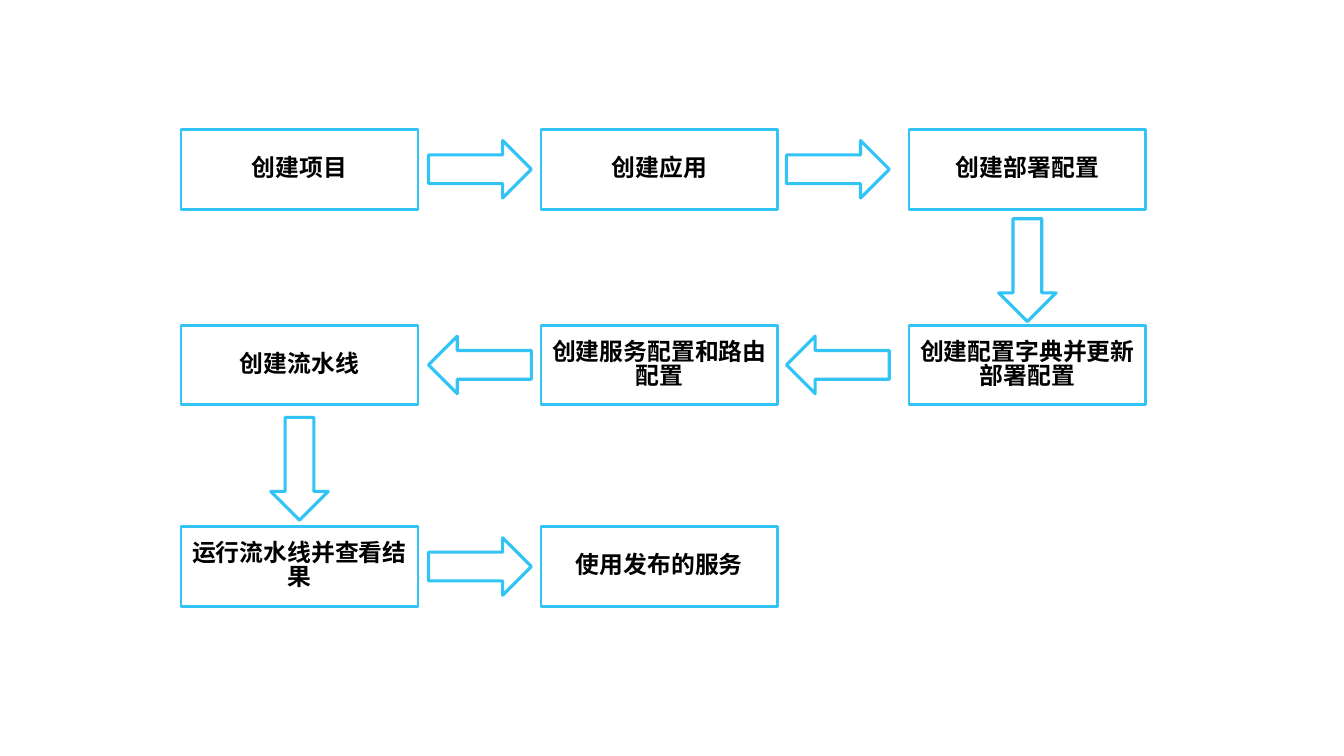
from itertools import pairwise
from math import atan2, degrees

from lxml.etree import SubElement
from pptx import Presentation
from pptx.dml.color import RGBColor
from pptx.enum.shapes import MSO_SHAPE as Shape
from pptx.enum.text import MSO_ANCHOR as Anchor, PP_ALIGN as Align
from pptx.oxml.ns import qn
from pptx.util import Inches, Pt

STEPS = [
    ("创建项目", 0, 0),
    ("创建应用", 2, 0),
    ("创建部署配置", 4, 0),
    ("创建配置字典并更新部署配置", 4, 2),
    ("创建服务配置和路由配置", 2, 2),
    ("创建流水线", 0, 2),
    ("运行流水线并查看结果", 0, 4),
    ("使用发布的服务", 2, 4),
]


def color(value):
    return RGBColor.from_string(value)


class FlowSlide:
    font = "Noto Sans CJK SC"
    size = 17
    accent = "31C4F5"
    ink = "000000"
    columns = [2.97, 4.76, 6.54, 8.31, 10.19]
    rows = [1.68, 2.68, 3.62, 4.65, 5.62]
    box_size = (2.35, 0.79)
    arrow_size = (1.02, 0.57)

    def __init__(self, prs):
        self.s = prs.slides.add_slide(prs.slide_layouts[6])

    def outline(self, kind, col, row, size, weight):
        w, h = size
        left, top = self.columns[col] - w / 2, self.rows[row] - h / 2
        sp = self.s.shapes.add_shape(
            kind, Inches(left), Inches(top), Inches(w), Inches(h))
        sp.shadow.inherit = False
        sp.fill.background()
        sp.line.color.rgb = color(self.accent)
        sp.line.width = Pt(weight)
        return sp

    def box(self, text, col, row):
        sp = self.outline(Shape.ROUNDED_RECTANGLE, col, row, self.box_size, 2)
        sp.adjustments[0] = 0
        tf = sp.text_frame
        tf.word_wrap = True
        tf.vertical_anchor = Anchor.MIDDLE
        p = tf.paragraphs[0]
        p.alignment = Align.CENTER
        p.line_spacing = 0.84
        r = p.add_run()
        r.text = text
        r.font.name = self.font
        r.font.size = Pt(self.size)
        r.font.bold = True
        r.font.color.rgb = color(self.ink)
        SubElement(r.font._element, qn("a:ea"), typeface=self.font)

    def arrow(self, start, end):
        (c1, r1), (c2, r2) = start, end
        sp = self.outline(Shape.RIGHT_ARROW, (c1 + c2) // 2, (r1 + r2) // 2,
                          self.arrow_size, 2.25)
        sp.rotation = degrees(atan2(r2 - r1, c2 - c1))


def main():
    prs = Presentation()
    prs.slide_width, prs.slide_height = Inches(13.33), Inches(7.5)
    flow = FlowSlide(prs)
    for text, col, row in STEPS:
        flow.box(text, col, row)
    for (_, *start), (_, *end) in pairwise(STEPS):
        flow.arrow(start, end)
    prs.save("out.pptx")


if __name__ == "__main__":
    main()
